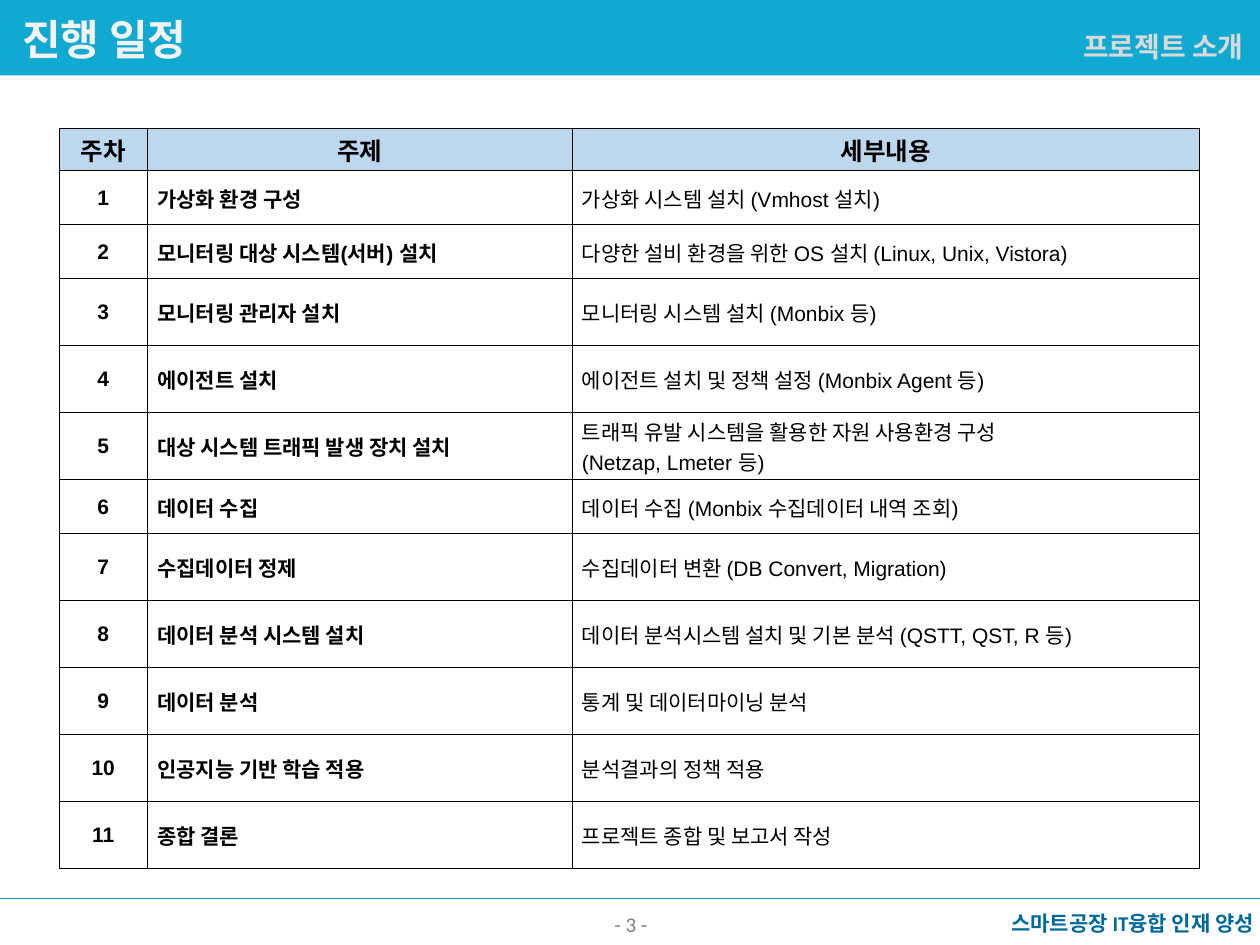
"""Build the project schedule slide with its eleven-week table."""
from dataclasses import dataclass

from lxml import etree
from pptx import Presentation
from pptx import util as u
from pptx.dml import color
from pptx.enum import shapes, text
from pptx.oxml import ns


@dataclass(frozen=True)
class Theme:
    banner: str = "10A9D1"
    rule: str = "009BCB"
    course: str = "006A99"
    page: str = "808080"
    title: str = "F2F2F2"
    section: str = "D9D9D9"
    header: str = "BDD7EE"
    ink: str = "000000"
    title_size: int = 24
    section_size: int = 16
    header_size: int = 14
    body_size: int = 12
    label_font: str = "Calibri"
    table_font: str = "Arial"


theme = Theme()
LEFT, CENTER, RIGHT = text.PP_ALIGN.LEFT, text.PP_ALIGN.CENTER, text.PP_ALIGN.RIGHT


def style(paragraph, face, size, ink, bold, align):
    paragraph.alignment = align
    font = paragraph.font
    font.name, font.size, font.bold = face, u.Pt(size), bold
    font.color.rgb = color.RGBColor.from_string(ink)


def add_borders(cell):
    properties = cell._tc.get_or_add_tcPr()
    for side in ("a:lnL", "a:lnR", "a:lnT", "a:lnB"):
        border = etree.SubElement(properties, ns.qn(side), w=str(u.Pt(0.5)))
        fill = etree.SubElement(border, ns.qn("a:solidFill"))
        etree.SubElement(fill, ns.qn("a:srgbClr"), val=theme.ink)


prs = Presentation()
prs.slide_width, prs.slide_height = u.Cm(25.4), u.Cm(19.05)
slide = prs.slides.add_slide(prs.slide_layouts[6])

banner = slide.shapes.add_shape(shapes.MSO_SHAPE.RECTANGLE, 0, 0, prs.slide_width, u.Cm(1.52))
banner.shadow.inherit = False
banner.fill.solid()
banner.fill.fore_color.rgb = color.RGBColor.from_string(theme.banner)
banner.line.fill.background()

footer_rule = slide.shapes.add_connector(
    shapes.MSO_CONNECTOR.STRAIGHT, 0, u.Cm(18.11), prs.slide_width, u.Cm(18.11))
footer_rule.line.color.rgb = color.RGBColor.from_string(theme.rule)
footer_rule.line.width = u.Pt(0.5)
etree.SubElement(footer_rule._element.spPr, ns.qn("a:effectLst"))

labels = [
    ("스마트공장 IT융합 인재 양성", (19.69, 18.24, 5.84, 0.76), theme.body_size, theme.course, True, RIGHT),
    ("- 3 -", (9.86, 18.11, 5.72, 1.02), theme.body_size, theme.page, False, CENTER),
    ("진행 일정", (0.2, 0.15, 4.11, 1.27), theme.title_size, theme.title, True, LEFT),
    ("프로젝트 소개", (21.26, 0.48, 4.06, 0.94), theme.section_size, theme.section, True, RIGHT),
]
for wording, place, size, ink, bold, align in labels:
    frame = slide.shapes.add_textbox(*map(u.Cm, place)).text_frame
    frame.text = wording
    frame.word_wrap = align == CENTER
    if align == CENTER:
        frame.vertical_anchor = text.MSO_ANCHOR.MIDDLE
    else:
        frame.auto_size = text.MSO_AUTO_SIZE.SHAPE_TO_FIT_TEXT
    style(frame.paragraphs[0], theme.label_font, size, ink, bold, align)

headings = ("주차", "주제", "세부내용")
weeks = [
    ("가상화 환경 구성", "가상화 시스템 설치 (Vmhost 설치)"),
    ("모니터링 대상 시스템(서버) 설치", "다양한 설비 환경을 위한 OS 설치 (Linux, Unix, Vistora)"),
    ("모니터링 관리자 설치", "모니터링 시스템 설치 (Monbix 등)"),
    ("에이전트 설치", "에이전트 설치 및 정책 설정 (Monbix Agent 등)"),
    ("대상 시스템 트래픽 발생 장치 설치",
     "트래픽 유발 시스템을 활용한 자원 사용환경 구성\v(Netzap, Lmeter 등)"),
    ("데이터 수집", "데이터 수집 (Monbix 수집데이터 내역 조회)"),
    ("수집데이터 정제", "수집데이터 변환 (DB Convert, Migration)"),
    ("데이터 분석 시스템 설치", "데이터 분석시스템 설치 및 기본 분석 (QSTT, QST, R 등)"),
    ("데이터 분석", "통계 및 데이터마이닝 분석"),
    ("인공지능 기반 학습 적용", "분석결과의 정책 적용"),
    ("종합 결론", "프로젝트 종합 및 보고서 작성"),
]
rows = [headings] + [(str(week), *entry) for week, entry in enumerate(weeks, 1)]
short_weeks = (1, 2, 6)
column_widths = (1.78, 8.56, 12.65)
row_heights = [0.84] + [1.09 if week in short_weeks else 1.35 for week in range(1, len(rows))]

schedule = slide.shapes.add_table(
    len(rows), len(headings), u.Cm(1.19), u.Cm(2.59),
    u.Cm(sum(column_widths)), u.Cm(sum(row_heights))).table
schedule.first_row = schedule.horz_banding = False
for column, width in zip(schedule.columns, column_widths):
    column.width = u.Cm(width)
for r, (entries, height) in enumerate(zip(rows, row_heights)):
    schedule.rows[r].height = u.Cm(height)
    is_header = r == 0
    for c, wording in enumerate(entries):
        cell = schedule.cell(r, c)
        cell.text = wording
        cell.vertical_anchor = text.MSO_ANCHOR.MIDDLE
        cell.margin_left = cell.margin_right = u.Cm(0.03 if is_header else 0.2)
        cell.margin_top, cell.margin_bottom = u.Cm(0.03), 0
        add_borders(cell)
        if is_header:
            cell.fill.solid()
            cell.fill.fore_color.rgb = color.RGBColor.from_string(theme.header)
        else:
            cell.fill.background()
        style(cell.text_frame.paragraphs[0], theme.table_font,
              theme.header_size if is_header else theme.body_size, theme.ink,
              is_header or c < 2, CENTER if is_header or c == 0 else LEFT)

prs.save("out.pptx")
